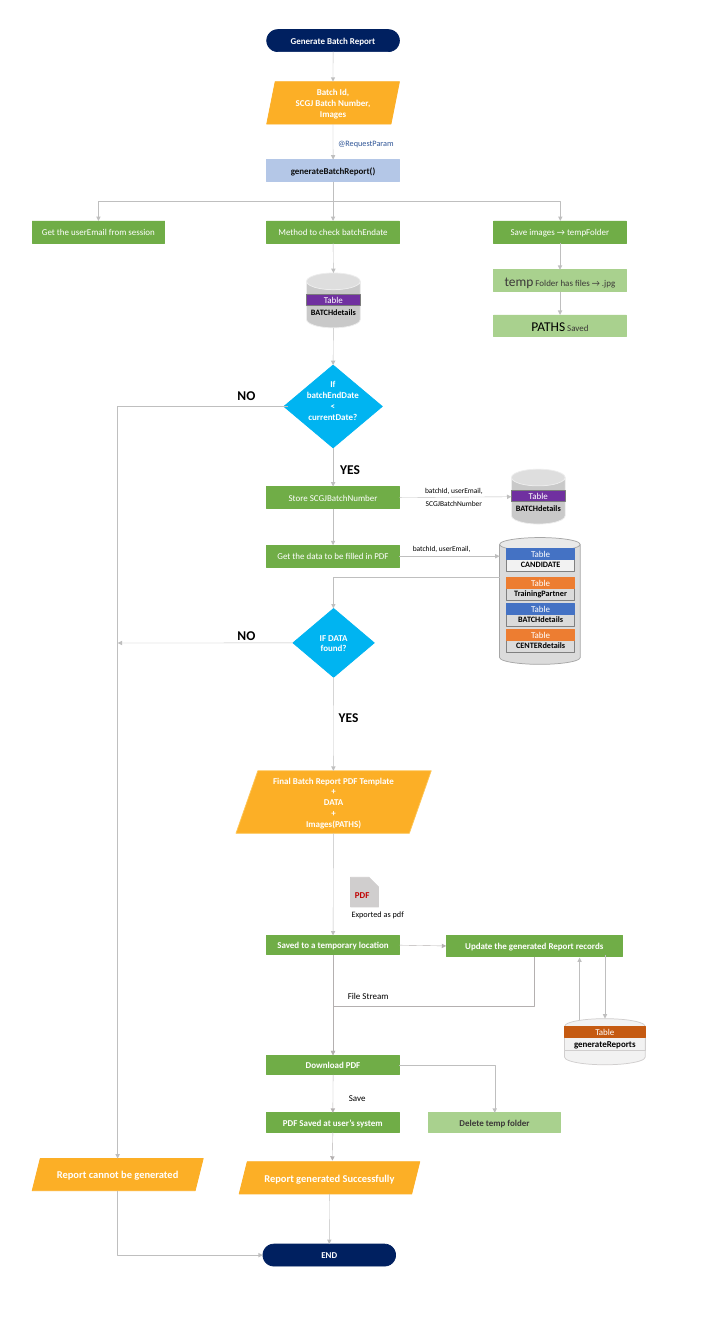
from dataclasses import dataclass

from lxml import etree
from pptx import Presentation
from pptx.dml.color import RGBColor
from pptx.enum.shapes import MSO_CONNECTOR, MSO_SHAPE
from pptx.enum.text import MSO_ANCHOR, PP_ALIGN
from pptx.oxml.ns import qn
from pptx.util import Cm, Pt

RECTANGLE, ROUNDED = MSO_SHAPE.RECTANGLE, MSO_SHAPE.ROUNDED_RECTANGLE
PARALLELOGRAM, DIAMOND = MSO_SHAPE.PARALLELOGRAM, MSO_SHAPE.DIAMOND
CAN, DISK = MSO_SHAPE.CAN, MSO_SHAPE.FLOWCHART_MAGNETIC_DISK
SNIPPED = MSO_SHAPE.SNIP_1_RECTANGLE
STRAIGHT, ELBOW = MSO_CONNECTOR.STRAIGHT, MSO_CONNECTOR.ELBOW
LEFT, CENTER = PP_ALIGN.LEFT, PP_ALIGN.CENTER
TOP_ANCHOR, MIDDLE_ANCHOR = MSO_ANCHOR.TOP, MSO_ANCHOR.MIDDLE
TOP, LEFT_SIDE, BOTTOM, RIGHT_SIDE = range(4)


@dataclass
class Theme:
    font: str = "Calibri"
    white: str = "FFFFFF"
    black: str = "000000"
    ink: str = "0D0D0D"
    dark: str = "3B3838"
    navy: str = "002060"
    orange: str = "FCAF26"
    orange_edge: str = "FEC554"
    pale_blue: str = "B4C7E7"
    link_blue: str = "2F5597"
    green: str = "70AD47"
    pale_green: str = "A9D18E"
    cyan: str = "00B4F1"
    purple: str = "7030A0"
    purple_edge: str = "7C7C7C"
    blue: str = "4472C4"
    rust: str = "ED7D31"
    brown: str = "C55A11"
    red: str = "C00000"
    can: str = "C9C9C9"
    can_edge: str = "EDEDED"
    store: str = "DBDBDB"
    store_edge: str = "A6A6A6"
    cell_edge: str = "808080"
    disk: str = "F2F2F2"
    page: str = "D0CECE"
    arrow: str = "BFBFBF"
    arrow_dark: str = "B4B0B0"
    tiny: int = 10
    small: int = 11
    body: int = 12
    result: int = 14
    large: int = 18


theme = Theme()
presentation = Presentation()
presentation.slide_width, presentation.slide_height = Cm(33.87), Cm(63.5)
slide = presentation.slides.add_slide(presentation.slide_layouts[6])


def add_box(geometry, left, top, width, height, text="", fill=None, edge=None, color=theme.white,
            size=theme.body, bold=False, adjust=None, align=CENTER):
    """Add a preset shape, or a plain label when geometry is None; each line is a paragraph."""
    place = [Cm(value) for value in (left, top, width, height)]
    if geometry is None:
        shape = slide.shapes.add_textbox(*place)
    else:
        shape = slide.shapes.add_shape(geometry, *place)
        shape.shadow.inherit = False
        if fill:
            shape.fill.solid()
            shape.fill.fore_color.rgb = RGBColor.from_string(fill)
        else:
            shape.fill.background()
        shape.line.color.rgb = RGBColor.from_string(edge or fill)
        shape.line.width = Pt(1)
        if adjust is not None:
            shape.adjustments[0] = adjust
    frame = shape.text_frame
    frame.word_wrap = geometry is not None or align == CENTER
    frame.vertical_anchor = MIDDLE_ANCHOR if geometry is not None else TOP_ANCHOR
    if geometry is not None:
        frame.margin_left = frame.margin_right = Cm(0.15)
        frame.margin_top = frame.margin_bottom = Cm(0.08)
    for index, line in enumerate(text.split("\n") if text else []):
        paragraph = frame.add_paragraph() if index else frame.paragraphs[0]
        paragraph.alignment = align
        run = paragraph.add_run()
        run.text = line
        run.font.name, run.font.size, run.font.bold = theme.font, Pt(size), bold
        run.font.color.rgb = RGBColor.from_string(color)
    return shape


def add_arrow(start, end, color=theme.arrow, preset=None, vertical=False):
    """Ends are (x, y) in cm or (shape name, side); elbows take points, and vertical ones leave downwards."""
    points = [(0, 0) if isinstance(point[0], str) else point for point in (start, end)]
    (x1, y1), (x2, y2) = points
    if vertical:
        # A quarter turn about the centre makes the elbow leave downwards.
        middle_x, middle_y, half_w, half_h = (x1 + x2) / 2, (y1 + y2) / 2, (y2 - y1) / 2, (x2 - x1) / 2
        x1, x2, y1, y2 = middle_x - half_w, middle_x + half_w, middle_y + half_h, middle_y - half_h
    connector = slide.shapes.add_connector(ELBOW if preset else STRAIGHT, Cm(x1), Cm(y1), Cm(x2), Cm(y2))
    if isinstance(start[0], str):
        connector.begin_connect(nodes[start[0]], start[1])
    if isinstance(end[0], str):
        connector.end_connect(nodes[end[0]], end[1])
    connector.line.color.rgb = RGBColor.from_string(color)
    connector.line.width = Pt(0.5)
    properties = connector._element.spPr
    if preset:
        properties.find(qn("a:prstGeom")).set("prst", preset)
    if vertical:
        properties.find(qn("a:xfrm")).set("rot", "5400000")
    etree.SubElement(properties.find(qn("a:ln")), qn("a:tailEnd"), type="triangle")
    etree.SubElement(properties, qn("a:effectLst"))


# Flowchart steps
column, wide, tall, slim = 12.6, 6.27, 1.04, 0.91
terminal = dict(fill=theme.navy, bold=True, adjust=0.5)
data = dict(fill=theme.orange, bold=True)
step = dict(fill=theme.green)
strong_step = dict(fill=theme.green, bold=True)
file_step = dict(fill=theme.pale_green, color=theme.dark)
decision = dict(fill=theme.cyan, bold=True)
steps = {
    "start": (ROUNDED, column, 1.4, wide, tall, "Generate Batch Report", terminal),
    "end": (ROUNDED, 12.42, 58.78, wide, tall, "END", terminal),
    "inputs": (PARALLELOGRAM, column, 3.86, wide, 2, "Batch Id,\nSCGJ Batch Number,\nImages", {**data, "adjust": 0.2}),
    "generate": (RECTANGLE, column, 7.54, wide, tall, "generateBatchReport()",
                 dict(fill=theme.pale_blue, color=theme.ink, bold=True)),
    "session": (RECTANGLE, 1.52, 10.44, wide, tall, "Get the userEmail from session", step),
    "images": (RECTANGLE, 23.32, 10.44, wide, tall, "Save images → tempFolder", step),
    "check": (RECTANGLE, column, 10.44, wide, tall, "Method to check batchEndate", step),
    "temp": (RECTANGLE, 23.32, 12.75, wide, tall, "temp", {**file_step, "size": theme.large}),
    "paths": (RECTANGLE, 23.32, 14.88, wide, 1.02, "PATHS",
              {**file_step, "size": theme.large, "color": theme.black}),
    "date": (DIAMOND, 13.41, 17.25, 4.65, 3.91, "", decision),
    "store": (RECTANGLE, column, 22.99, wide, tall, "Store SCGJBatchNumber", step),
    "data": (RECTANGLE, column, 25.76, wide, tall, "Get the data to be filled in PDF", step),
    "found": (DIAMOND, 13.84, 28.75, 3.84, 3.25, "IF DATA found?", decision),
    "template": (PARALLELOGRAM, 11.15, 36.42, 9.22, 2.95,
                 "Final Batch Report PDF Template\n+\nDATA\n+\nImages(PATHS)",
                 {**data, "edge": theme.orange_edge, "adjust": 0.35}),
    "pdf": (SNIPPED, 16.56, 41.45, 1.32, 1.4, "PDF",
            dict(fill=theme.page, color=theme.red, bold=True, adjust=0.34)),
    "saved": (RECTANGLE, column, 44.2, wide, slim, "Saved to a temporary location", strong_step),
    "update": (RECTANGLE, 21.08, 44.2, 8.33, 0.99, "Update the generated Report records", strong_step),
    "download": (RECTANGLE, column, 49.86, wide, slim, "Download PDF", strong_step),
    "user": (RECTANGLE, column, 52.58, 6.25, slim, "PDF Saved at user’s system", strong_step),
    "delete": (RECTANGLE, 20.24, 52.58, 6.25, slim, "Delete temp folder", {**file_step, "bold": True}),
    "failure": (PARALLELOGRAM, 1.52, 54.74, 8.08, 1.52, "Report cannot be generated",
                {**data, "size": theme.result}),
    "success": (PARALLELOGRAM, 11.3, 54.89, 8.53, 1.52, "Report generated Successfully",
                {**data, "size": theme.result}),
}
nodes = {name: add_box(*values, **style) for name, (*values, style) in steps.items()}

for name, suffix in (("temp", " Folder has files → .jpg"), ("paths", " Saved")):
    run = nodes[name].text_frame.paragraphs[0].add_run()
    run.text = suffix
    run.font.name, run.font.size = theme.font, Pt(theme.body)
    run.font.color.rgb = RGBColor.from_string(theme.dark)

# Databases and their tables
for left, top in ((14.48, 12.9), (24.16, 22.17)):
    add_box(CAN, left, top, 2.54, 2.59, fill=theme.can, edge=theme.can_edge, adjust=0.31)
    add_box(RECTANGLE, left, top + 1.02, 2.54, 0.51, "Table", theme.purple, theme.purple_edge)
    name_label = add_box(None, left, top + 1.53, 2.54, 0.66, "BATCHdetails",
                         color=theme.black, size=theme.small, bold=True)
    name_label.text_frame.margin_left = name_label.text_frame.margin_right = Cm(0.15)
    name_label.text_frame.margin_top = name_label.text_frame.margin_bottom = Cm(0.08)
    name_label.text_frame.vertical_anchor = MIDDLE_ANCHOR

add_box(CAN, 23.6, 25.4, 3.81, 5.99, fill=theme.store, edge=theme.store_edge, adjust=0.17)
for top, name, header, fill in ((25.91, "CANDIDATE", theme.blue, theme.disk),
                                (27.28, "TrainingPartner", theme.rust, None),
                                (28.52, "BATCHdetails", theme.blue, None),
                                (29.74, "CENTERdetails", theme.rust, None)):
    add_box(RECTANGLE, 23.94, top + 0.43, 3.2, 0.66, name, fill, theme.cell_edge, theme.black, theme.small, True)
    add_box(RECTANGLE, 23.94, top, 3.2, 0.51, "Table", header)

add_box(DISK, 26.67, 48.13, 3.81, 2.18, fill=theme.disk, edge=theme.page)
add_box(RECTANGLE, 26.67, 49, 3.81, 0.61, "generateReports", edge=theme.page, color=theme.black, bold=True)
add_box(RECTANGLE, 26.67, 48.49, 3.81, 0.51, "Table", theme.brown)

# Labels
add_box(None, 13.21, 17.78, 5.03, 2.31, "If\nbatchEndDate\n<\ncurrentDate?", bold=True)
add_box(None, 15.72, 6.4, 3.28, 0.74, "@RequestParam", color=theme.link_blue, size=theme.small, align=LEFT)
for left, top, width, text in ((10.97, 18.16, 1.37, "NO"), (10.97, 29.49, 1.37, "NO"),
                               (15.82, 21.67, 1.45, "YES"), (15.75, 33.4, 1.45, "YES")):
    add_box(None, left, top, width, 1.02, text, color=theme.black, size=theme.large, bold=True, align=LEFT)
for left, top, width, text, size in ((16.18, 46.66, 2.67, "File Stream", theme.body),
                                     (16.23, 51.51, 1.3, "Save", theme.body),
                                     (16.36, 42.85, 3, "Exported as pdf", theme.small),
                                     (19.25, 25.6, 4.06, "batchId, userEmail,", theme.tiny)):
    add_box(None, left, top, width, 0.75, text, color=theme.black, size=size, align=LEFT)
stored = add_box(None, 19, 22.83, 4.88, 1.32, "batchId, userEmail,\nSCGJBatchNumber", color=theme.black, size=theme.tiny)
stored.text_frame.paragraphs[0].space_after = Pt(6)

# Straight arrows
for start, end in (
    (("start", BOTTOM), (15.73, 3.86)), ((15.73, 5.86), ("generate", TOP)),
    (("generate", BOTTOM), ("check", TOP)), (("check", BOTTOM), (15.75, 12.9)),
    (("images", BOTTOM), ("temp", TOP)), (("temp", BOTTOM), ("paths", TOP)),
    ((15.75, 15.49), ("date", TOP)), (("date", BOTTOM), ("store", TOP)),
    (("store", RIGHT_SIDE), (24.16, 23.47)), (("store", BOTTOM), ("data", TOP)),
    (("data", RIGHT_SIDE), (23.6, 26.28)), (("found", LEFT_SIDE), (5.56, 30.38)),
    (("found", BOTTOM), (15.75, 36.42)), ((15.75, 39.37), ("saved", TOP)),
    ((28.58, 45.11), (28.58, 48.13)), ((27.38, 48.18), (27.38, 45.24)),
    ((15.57, 56.41), ("end", TOP)),
):
    add_arrow(start, end)
for start, end in ((("saved", BOTTOM), ("download", TOP)), (("download", BOTTOM), ("user", TOP)),
                   (("user", BOTTOM), (15.7, 54.84)), (("saved", RIGHT_SIDE), ("update", LEFT_SIDE))):
    add_arrow(start, end, theme.arrow_dark)

# Elbow arrows
for target in (4.65, 26.47):
    add_arrow((15.73, 8.58), (target, 10.44), preset="bentConnector3", vertical=True)
add_arrow((25.25, 45.2), (15.73, 49.86), theme.arrow_dark, "bentConnector3", True)
add_arrow((5.56, 56.26), (12.42, 59.3), preset="bentConnector2", vertical=True)
for start, end in (((23.6, 27.28), (15.75, 28.75)), ((13.61, 19.2), (5.56, 54.74)),
                   ((18.87, 50.32), (23.37, 52.58))):
    add_arrow(start, end, preset="bentConnector2")

presentation.save("out.pptx")
